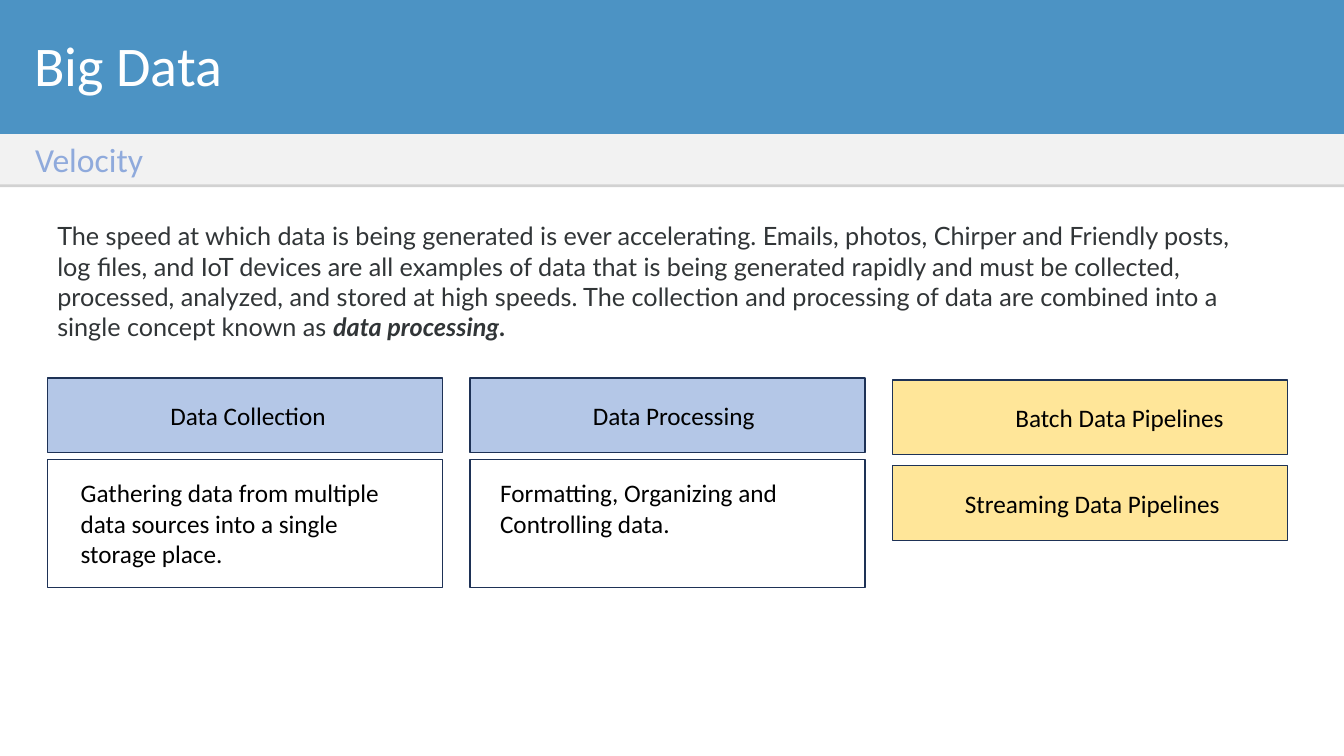
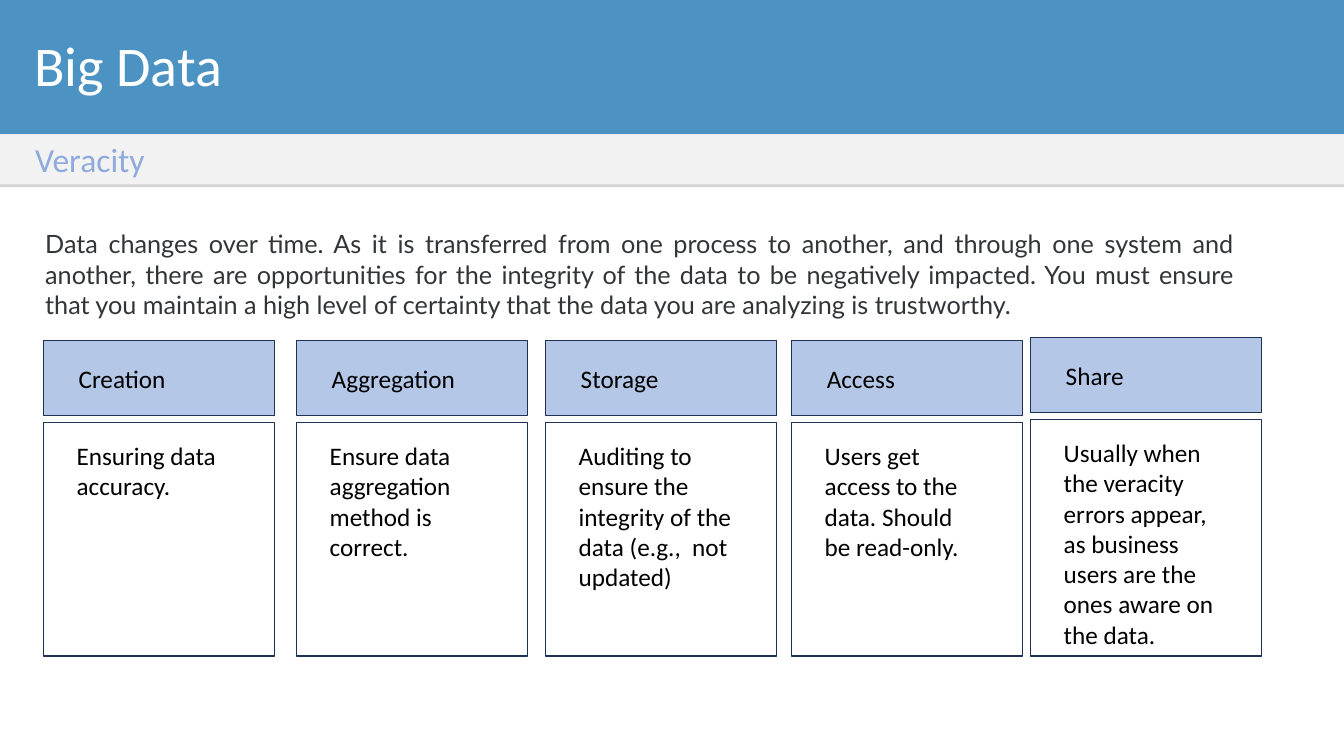
from dataclasses import dataclass

from lxml import etree
from pptx import Presentation
from pptx import util as u
from pptx.dml.color import RGBColor
from pptx.enum import shapes, text
from pptx.oxml import ns


@dataclass(frozen=True)
class Theme:
    banner: str = "4C93C4"
    strip: str = "F2F2F2"
    shadow: str = "808080"
    white: str = "FFFFFF"
    black: str = "000000"
    subtitle: str = "8FAADC"
    intro: str = "313537"
    outline: str = "1E3256"
    blue: str = "B4C7E7"
    yellow: str = "FFE699"
    font: str = "Calibri"
    intro_font: str = "Lato"
    title_size: int = 40
    subtitle_size: int = 24
    body_size: int = 18


THEME = Theme()
SLIDE_WIDTH, SLIDE_HEIGHT = 13.33, 7.5
BANNER_HEIGHT, STRIP_HEIGHT = 1.33, 0.5
LABEL_HEIGHT = 0.74
LABEL_TO_BODY = 0.81  # top of a label to the top of the box below it


def write(frame, runs, *, size=THEME.body_size, color=THEME.black, font=THEME.font,
          align=text.PP_ALIGN.LEFT, anchor=text.MSO_ANCHOR.TOP, margins=(0.1, 0.05, 0.1, 0.05)):
    """Fill a text frame; runs is a string or a list of (words, bold, italic)."""
    frame.word_wrap = True
    frame.auto_size = text.MSO_AUTO_SIZE.NONE
    frame.vertical_anchor = anchor
    frame.margin_left, frame.margin_top, frame.margin_right, frame.margin_bottom = map(u.Inches, margins)
    paragraph = frame.paragraphs[0]
    paragraph.alignment = align
    for words, bold, italic in [(runs, False, False)] if isinstance(runs, str) else runs:
        run = paragraph.add_run()
        run.text = words
        run.font.name = font
        run.font.size = u.Pt(size)
        run.font.color.rgb = RGBColor.from_string(color)
        run.font.bold, run.font.italic = bold, italic


def add_text(slide, box, runs, **text_format):
    write(slide.shapes.add_textbox(*map(u.Inches, box)).text_frame, runs, **text_format)


def add_rectangle(slide, box, fill, outline=None):
    shape = slide.shapes.add_shape(shapes.MSO_SHAPE.RECTANGLE, *map(u.Inches, box))
    shape.shadow.inherit = False
    shape.fill.solid()
    shape.fill.fore_color.rgb = RGBColor.from_string(fill)
    if outline:
        shape.line.color.rgb = RGBColor.from_string(outline)
        shape.line.width = u.Pt(1)
    else:
        shape.line.fill.background()
    return shape


def add_bottom_shadow(shape):
    effects = shape._element.spPr.find(ns.qn("a:effectLst"))
    shadow = etree.SubElement(effects, ns.qn("a:outerShdw"), dist=str(u.Pt(2)),
                              dir="5400000", algn="t", rotWithShape="0")
    color = etree.SubElement(shadow, ns.qn("a:srgbClr"), val=THEME.shadow)
    etree.SubElement(color, ns.qn("a:alpha"), val="35000")


def add_label(slide, left, top, width, words, indent, fill=THEME.blue):
    shape = add_rectangle(slide, (left, top, width, LABEL_HEIGHT), fill, THEME.outline)
    write(shape.text_frame, words, anchor=text.MSO_ANCHOR.MIDDLE, margins=(indent, 0.05, 0, 0.05))


def add_body(slide, box, words, indent, right_margin):
    shape = add_rectangle(slide, box, THEME.white, THEME.outline)
    write(shape.text_frame, words, margins=(indent, 0.18, right_margin, 0))


def add_topic_slide(presentation, subtitle):
    """Add a slide with the banner, its title and the subtitle strip."""
    slide = presentation.slides.add_slide(presentation.slide_layouts[5])
    banner = add_rectangle(slide, (0, 0, SLIDE_WIDTH, BANNER_HEIGHT), THEME.banner)
    strip = add_rectangle(slide, (0, BANNER_HEIGHT, SLIDE_WIDTH, STRIP_HEIGHT), THEME.strip)
    for band in (banner, strip):
        add_bottom_shadow(band)
    title = slide.shapes.title
    strip._element.addnext(title._element)  # bring the title in front of the bands
    title.left, title.top, title.width, title.height = map(u.Inches, (0.24, 0.25, 12.76, 0.77))
    write(title.text_frame, "Big Data", size=THEME.title_size, color=THEME.white)
    add_text(slide, (0.25, BANNER_HEIGHT, 11.72, STRIP_HEIGHT), subtitle,
             size=THEME.subtitle_size, color=THEME.subtitle)
    return slide


def add_intro(slide, box, runs, align=text.PP_ALIGN.LEFT):
    add_text(slide, box, runs, color=THEME.intro, font=THEME.intro_font, align=align)


def add_velocity_slide(presentation):
    slide = add_topic_slide(presentation, "Velocity")
    add_intro(slide, (0.47, 2.14, 12.17, 1.62), [
        ("The speed at which data is being generated is ever accelerating. Emails, photos, "
         "Chirper and Friendly posts, log files, and IoT devices are all examples of data that "
         "is being generated rapidly and must be collected, processed, analyzed, and stored at "
         "high speeds. The collection and processing of data are combined into a single concept "
         "known as ", False, False),
        ("data processing", True, True),
        (".", True, False),
    ])
    width, pitch, left, top = 3.92, 4.19, 0.47, 3.75
    steps = [
        ("Data Collection", "Gathering data from multiple data sources into a single storage place.", 0.33),
        ("Data Processing", "Formatting, Organizing and Controlling data.", 0.3),
    ]
    for column, (label, body, indent) in enumerate(steps):
        column_left = left + column * pitch
        add_label(slide, column_left, top, width, label, 1.22)
        add_body(slide, (column_left, top + LABEL_TO_BODY, width, 1.27), body, indent, 0.26)
    pipelines = [("Batch Data Pipelines", 3.77, 1.22), ("Streaming Data Pipelines", 4.62, 0.72)]
    for label, pipeline_top, indent in pipelines:
        add_label(slide, left + 2 * pitch, pipeline_top, width, label, indent, THEME.yellow)


def add_veracity_slide(presentation):
    slide = add_topic_slide(presentation, "Veracity")
    add_intro(slide, (0.35, 2.22, 11.99, 1.15),
              "Data changes over time. As it is transferred from one process to another, and "
              "through one system and another, there are opportunities for the integrity of the "
              "data to be negatively impacted. You must ensure that you maintain a high level of "
              "certainty that the data you are analyzing is trustworthy.",
              text.PP_ALIGN.JUSTIFY)
    width, bottom = 2.29, 6.51
    stages = [
        (0.43, 3.38, "Creation", "Ensuring data accuracy."),
        (2.94, 3.38, "Aggregation", "Ensure data aggregation method is correct."),
        (5.41, 3.38, "Storage", "Auditing to ensure the integrity of the data (e.g.,  not updated)"),
        (7.85, 3.38, "Access", "Users get access to the data. Should be read-only."),
        (10.22, 3.35, "Share", "Usually when the veracity errors appear, as business users are "
                               "the ones aware on the data."),
    ]
    for left, top, label, body in stages:
        add_label(slide, left, top, width, label, 0.35)
        body_top = top + LABEL_TO_BODY
        add_body(slide, (left, body_top, width, bottom - body_top), body, 0.33, 0.42)


def main():
    presentation = Presentation()
    presentation.slide_width = u.Inches(SLIDE_WIDTH)
    presentation.slide_height = u.Inches(SLIDE_HEIGHT)
    add_velocity_slide(presentation)
    add_veracity_slide(presentation)
    presentation.save("out.pptx")


if __name__ == "__main__":
    main()
